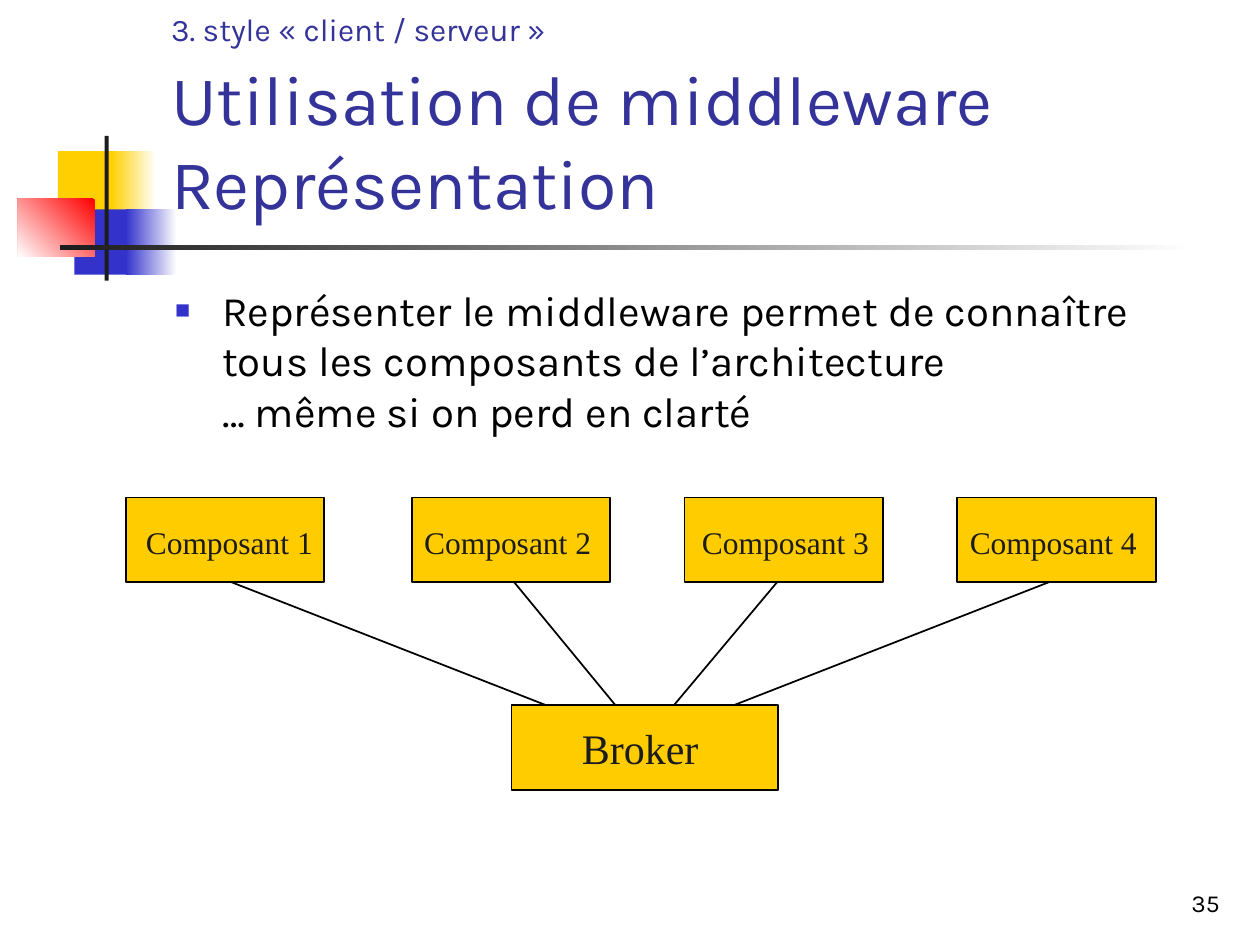
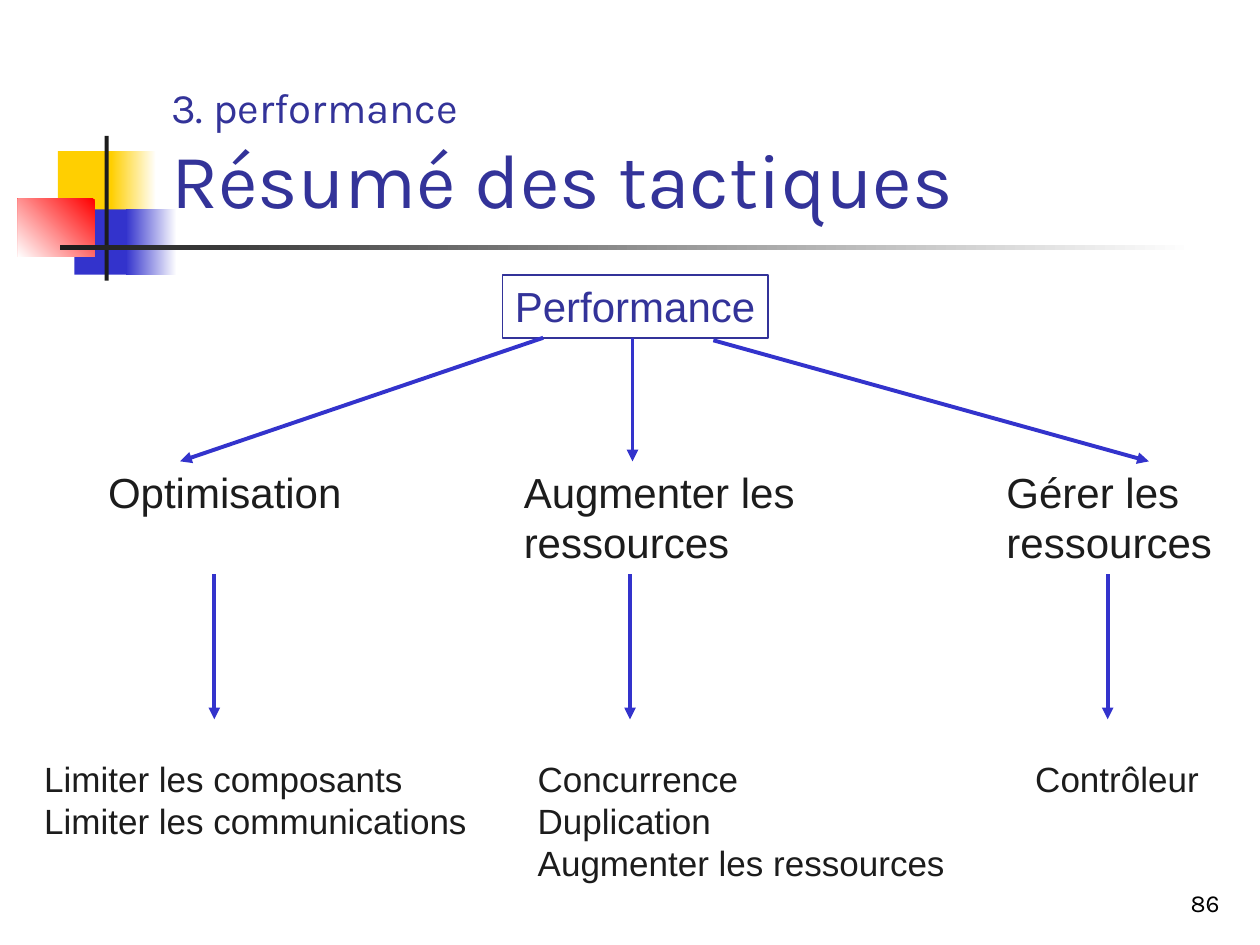
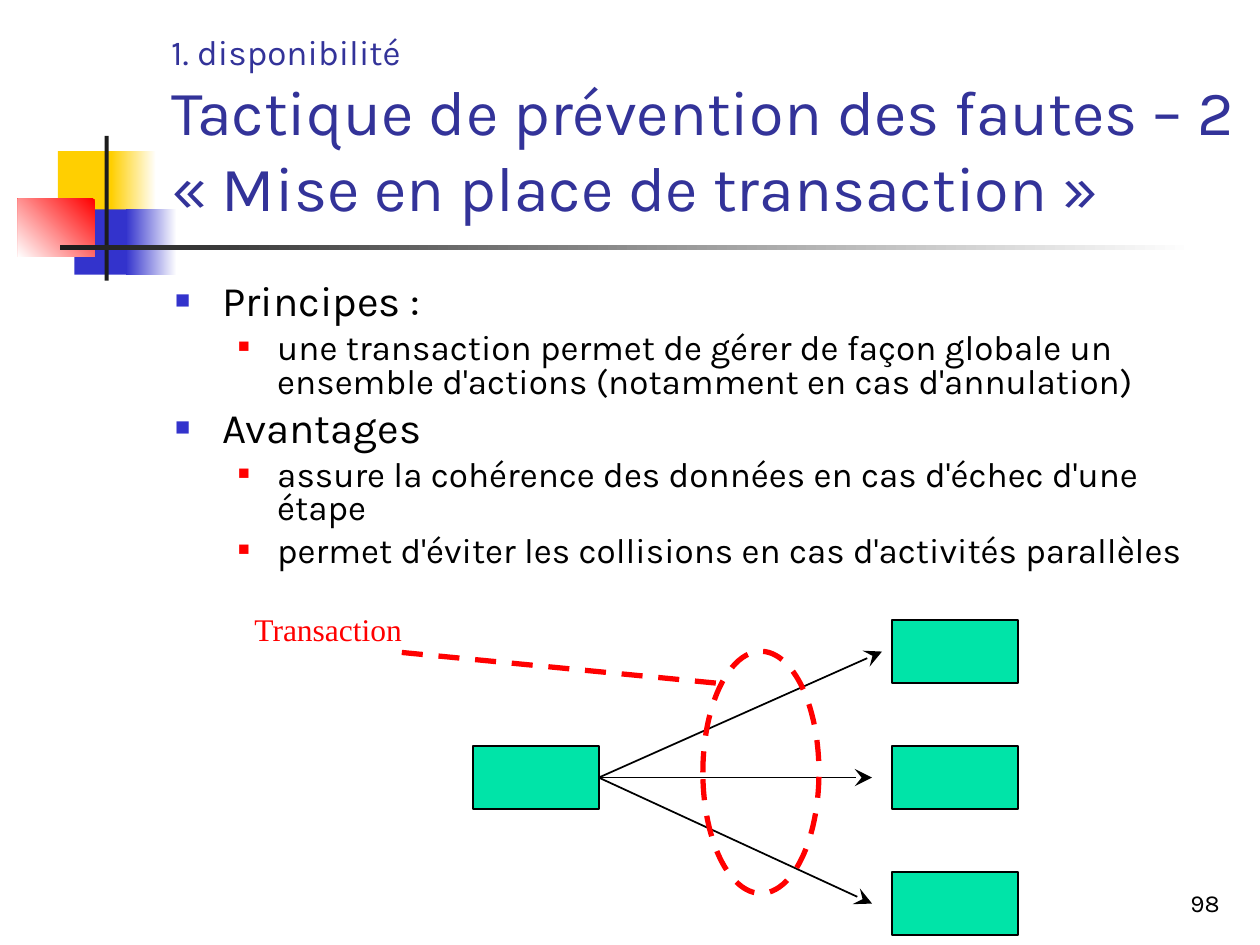
from lxml import etree
from pptx import Presentation
from pptx.dml.color import RGBColor
from pptx.enum.dml import MSO_LINE_DASH_STYLE as Dash
from pptx.enum.shapes import MSO_CONNECTOR, MSO_SHAPE
from pptx.enum.text import MSO_ANCHOR, PP_ALIGN
from pptx.oxml.ns import qn
from pptx.util import Cm, Pt

WHITE = RGBColor(0xFF, 0xFF, 0xFF)
BLACK = RGBColor(0x00, 0x00, 0x00)
INK = RGBColor(0x1C, 0x1C, 0x1C)
YELLOW = RGBColor(0xFF, 0xCF, 0x01)
AMBER = RGBColor(0xFF, 0xCC, 0x00)
BLUE = RGBColor(0x33, 0x33, 0xCC)
INDIGO = RGBColor(0x33, 0x33, 0x99)
RED = RGBColor(0xFF, 0x00, 0x00)
GREEN = RGBColor(0x00, 0xE4, 0xA8)

KARLA, ARIAL, TIMES = "Karla", "Arial", "Times New Roman"

# Shared decoration: left, top, width, height, first colour, last colour, angle
DECORATION = [
    (1.17, 3.05, 1.22, 1.32, YELLOW, None, 0),
    (2.24, 3.05, 0.91, 1.32, WHITE, YELLOW, 180),
    (1.5, 4.22, 1.17, 1.32, BLUE, None, 0),
    (2.54, 4.22, 1.02, 1.32, WHITE, BLUE, 180),
    (0.36, 4.01, 1.55, 1.17, RED, WHITE, 225),
    (2.11, 2.74, 0.08, 2.92, INK, None, 0),
    (1.22, 4.94, 22.86, 0.1, WHITE, INK, 180),
]

# Bullet levels: left margin, indent, bullet colour, bullet %, size, space before
LEVELS = [
    (0.95, -0.95, BLUE, 60, 24, 6),
    (2.06, -0.79, RED, 55, 20, 5),
]

# Slide 1: box left, label left, line start, line end
BROKER_TITLE = [("3. style «\u00a0client / serveur\u00a0»", 18),
                (" \nUtilisation de middleware\nReprésentation", 40)]
BROKER_BODY = [(0, "Représenter le middleware permet de connaître tous les composants "
                   "de l’architecture\n… même si on perd en clarté")]
COMPONENTS = [
    ("Composant 1", 2.54, 2.69, 4.65, 11.3),
    ("Composant 2", 8.3, 8.3, 10.36, 12.5),
    ("Composant 3", 13.8, 13.9, 15.67, 13.49),
    ("Composant 4", 19.3, 19.3, 21.16, 14.5),
]

# Slide 2: heading and details as (lines, left, width), then arrow positions
TACTICS_TITLE = [("3. performance\n", 24), ("Résumé des tactiques", 44)]
TACTICS = [
    ((["Optimisation"], 1.93, 5.2),
     (["Limiter les composants", "Limiter les communications"], 0.64, 9.02),
     (10.95, 6.81), 3.63, 4.32),
    ((["Augmenter les", "ressources"], 10.31, 6.2),
     (["Concurrence", "Duplication", "Augmenter les ressources"], 10.59, 8.71),
     (12.75, 6.81), 12.75, 12.7),
    ((["Gérer les", "ressources"], 20.04, 4.65),
     (["Contrôleur"], 20.62, 3.81),
     (14.38, 6.86), 23.16, 22.33),
]

# Slide 3: text and the tips of the three arrows
TRANSACTION_TITLE = [("1. disponibilité\n", 20),
                     ("Tactique de prévention des fautes – 2\n"
                      "«\u00a0Mise en place de transaction\u00a0»", 36)]
TRANSACTION_BODY = [
    (0, "Principes :"),
    (1, "une transaction permet de gérer de façon globale un ensemble d'actions "
        "(notamment en cas d'annulation)"),
    (0, "Avantages"),
    (1, "assure la cohérence des données en cas d'échec d'une étape"),
    (1, "permet d'éviter les collisions en cas d'activités parallèles"),
]
ARROW_TIPS = [17.78, 17.58, 17.58]


def set_font(font, name, color, size=None):
    font.name = name
    font.color.rgb = color
    if size:
        font.size = Pt(size)


def add_runs(paragraph, text, size):
    for index, line in enumerate(text.split("\n")):
        if index:
            paragraph.add_line_break()
        if line:
            run = paragraph.add_run()
            run.text = line
            run.font.size = Pt(size)


def add_block(slide, left, top, width, height, fill=None, line=None, weight=1,
              kind=MSO_SHAPE.RECTANGLE):
    shape = slide.shapes.add_shape(kind, Cm(left), Cm(top), Cm(width), Cm(height))
    shape.shadow.inherit = False
    if fill is None:
        shape.fill.background()
    else:
        shape.fill.solid()
        shape.fill.fore_color.rgb = fill
    if line is None:
        shape.line.fill.background()
    else:
        shape.line.color.rgb = line
        shape.line.width = Pt(weight)
    return shape


def add_text_box(slide, left, top, width, height, anchor=MSO_ANCHOR.TOP):
    box = slide.shapes.add_textbox(Cm(left), Cm(top), Cm(width), Cm(height))
    box.text_frame.word_wrap = True
    box.text_frame.vertical_anchor = anchor
    return box


def add_label(slide, lines, left, top, width, name, size, color=INK, border=None):
    height = 0.25 + 0.0425 * size * len(lines)
    box = add_text_box(slide, left, top, width, height)
    frame = box.text_frame
    frame.margin_right = 0  # leaves each line room to stay whole
    frame.text = "\n".join(lines)
    for paragraph in frame.paragraphs:
        set_font(paragraph.font, name, color, size)
    if border is not None:
        box.line.color.rgb = border
        box.line.width = Pt(1)


def add_line(slide, start, end, color=BLACK, weight=1, head=None, head_size="med"):
    line = slide.shapes.add_connector(
        MSO_CONNECTOR.STRAIGHT, *(Cm(value) for value in (*start, *end)))
    line.line.color.rgb = color
    line.line.width = Pt(weight)
    if head:
        etree.SubElement(line.line._get_or_add_ln(), qn("a:tailEnd"),
                         type=head, w=head_size, len=head_size)
    etree.SubElement(line._element.spPr, qn("a:effectLst"))
    return line


def add_bullet(paragraph, margin, indent, color, percent):
    properties = paragraph._p.get_or_add_pPr()
    properties.set("marL", str(Cm(margin)))
    properties.set("indent", str(Cm(indent)))
    bullet_color = etree.SubElement(properties, qn("a:buClr"))
    etree.SubElement(bullet_color, qn("a:srgbClr"), val=str(color))
    etree.SubElement(properties, qn("a:buSzPct"), val=str(percent * 1000))
    etree.SubElement(properties, qn("a:buFont"), typeface=ARIAL)
    etree.SubElement(properties, qn("a:buChar"), char="■")


def add_body(slide, items, height, spacing=1.0):
    frame = add_text_box(slide, 3.28, 5.61, 21.59, height).text_frame
    for index, (level, text) in enumerate(items):
        margin, indent, color, percent, size, before = LEVELS[level]
        paragraph = frame.add_paragraph() if index else frame.paragraphs[0]
        paragraph.level = level
        add_bullet(paragraph, margin, indent, color, percent)
        paragraph.line_spacing = spacing
        if index:
            paragraph.space_before = Pt(before)
        set_font(paragraph.font, KARLA, BLACK, size)
        add_runs(paragraph, text, size)


def add_base(presentation, title, number, title_width=21.64):
    slide = presentation.slides.add_slide(presentation.slide_layouts[6])
    # Coloured squares and rules
    for left, top, width, height, first, last, angle in DECORATION:
        shape = add_block(slide, left, top, width, height, first)
        if last is not None:
            shape.fill.gradient()
            shape.fill.gradient_angle = angle
            for stop, color in zip(shape.fill.gradient_stops, (first, last)):
                stop.color.rgb = color
    # Title
    frame = add_text_box(slide, 3.2, 0.58, title_width, 4.06, MSO_ANCHOR.BOTTOM).text_frame
    paragraph = frame.paragraphs[0]
    set_font(paragraph.font, KARLA, INDIGO)
    for text, size in title:
        add_runs(paragraph, text, size)
    # Slide number
    frame = add_text_box(slide, 19.56, 17.35, 5.28, 1.27, MSO_ANCHOR.BOTTOM).text_frame
    frame.text = str(number)
    frame.paragraphs[0].alignment = PP_ALIGN.RIGHT
    set_font(frame.paragraphs[0].font, KARLA, BLACK, 14)
    return slide


def build_broker(presentation):
    slide = add_base(presentation, BROKER_TITLE, 35)
    add_body(slide, BROKER_BODY, 11.43)
    for name, box_left, label_left, start, end in COMPONENTS:
        add_block(slide, box_left, 10.03, 4, 1.7, AMBER, BLACK)
        add_label(slide, [name], label_left, 10.41, 3.86, TIMES, 18)
        add_line(slide, (start, 11.73), (end, 14.33))
    add_block(slide, 10.31, 14.22, 5.38, 1.7, AMBER, BLACK)
    add_label(slide, ["Broker"], 11.48, 14.45, 3.02, TIMES, 24)


def build_tactics(presentation):
    slide = add_base(presentation, TACTICS_TITLE, 86)
    add_label(slide, ["Performance"], 10.13, 5.54, 5.36, ARIAL, 24, INDIGO, INDIGO)
    for heading, details, branch_start, branch_end, down in TACTICS:
        for (lines, left, width), top, size in ((heading, 9.27, 24), (details, 15.14, 20)):
            add_label(slide, lines, left, top, width, ARIAL, size)
        add_line(slide, branch_start, (branch_end, 9.3), BLUE, 2.25, "triangle")
        add_line(slide, (down, 11.58), (down, 14.5), BLUE, 2.25, "triangle")


def build_transaction(presentation):
    slide = add_base(presentation, TRANSACTION_TITLE, 98, 22.2)
    add_body(slide, TRANSACTION_BODY, 6.32, 0.8)
    # One sender, three receivers
    width, height, middle = 2.54, 1.27, 15.04
    add_block(slide, 9.53, middle, width, height, GREEN, BLACK)
    for row, tip in enumerate(ARROW_TIPS):
        top = middle + (row - 1) * 2 * height
        add_block(slide, 17.98, top, width, height, GREEN, BLACK)
        add_line(slide, (12.07, middle + height / 2), (tip, top + height / 2),
                 head="stealth", head_size="lg")
    # Dashed transaction mark
    ring = add_block(slide, 14.17, 13.13, 2.34, 4.88, line=RED, weight=3,
                     kind=MSO_SHAPE.OVAL)
    pointer = add_line(slide, (14.43, 13.77), (7.87, 13.13), RED, 3)
    for mark in (ring, pointer):
        mark.line.dash_style = Dash.DASH
    add_label(slide, ["Transaction"], 4.88, 12.17, 3.5, TIMES, 18, RED)


def main():
    presentation = Presentation()
    presentation.slide_width, presentation.slide_height = Cm(25.4), Cm(19.05)
    build_broker(presentation)
    build_tactics(presentation)
    build_transaction(presentation)
    presentation.save("out.pptx")


if __name__ == "__main__":
    main()
